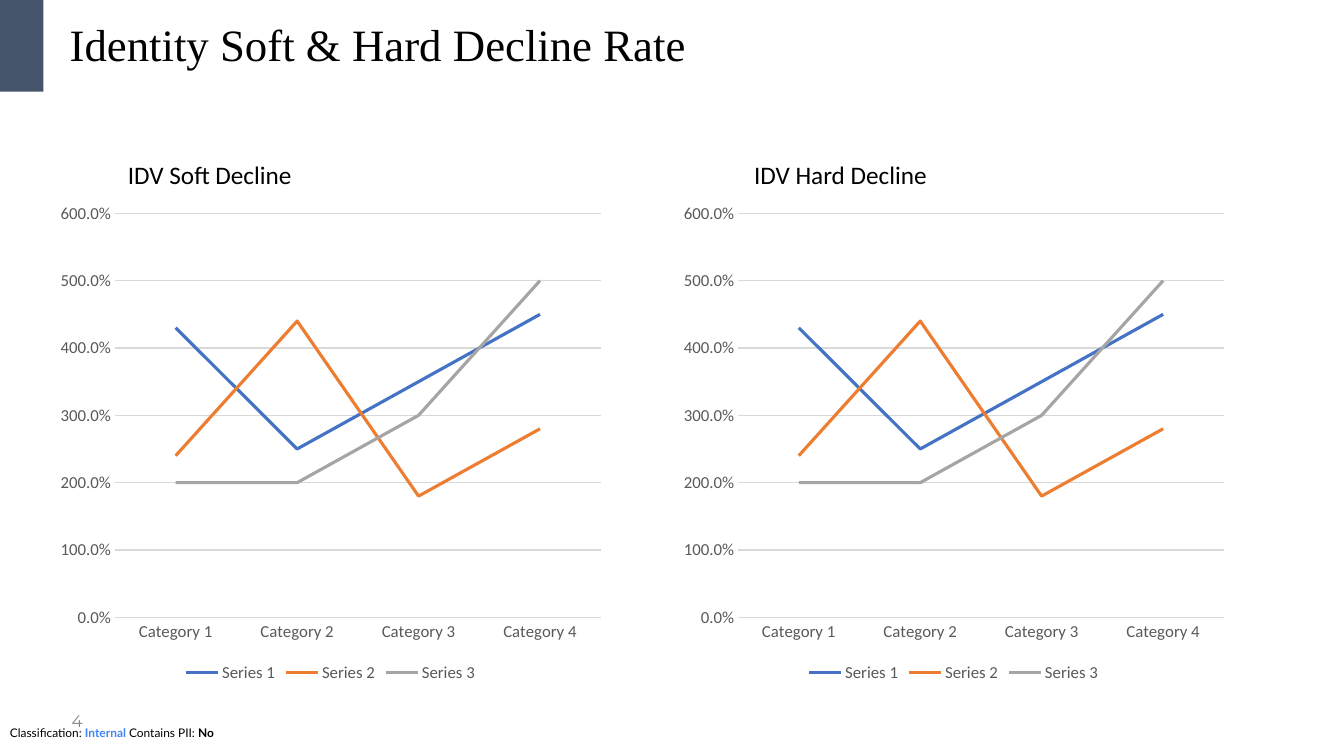
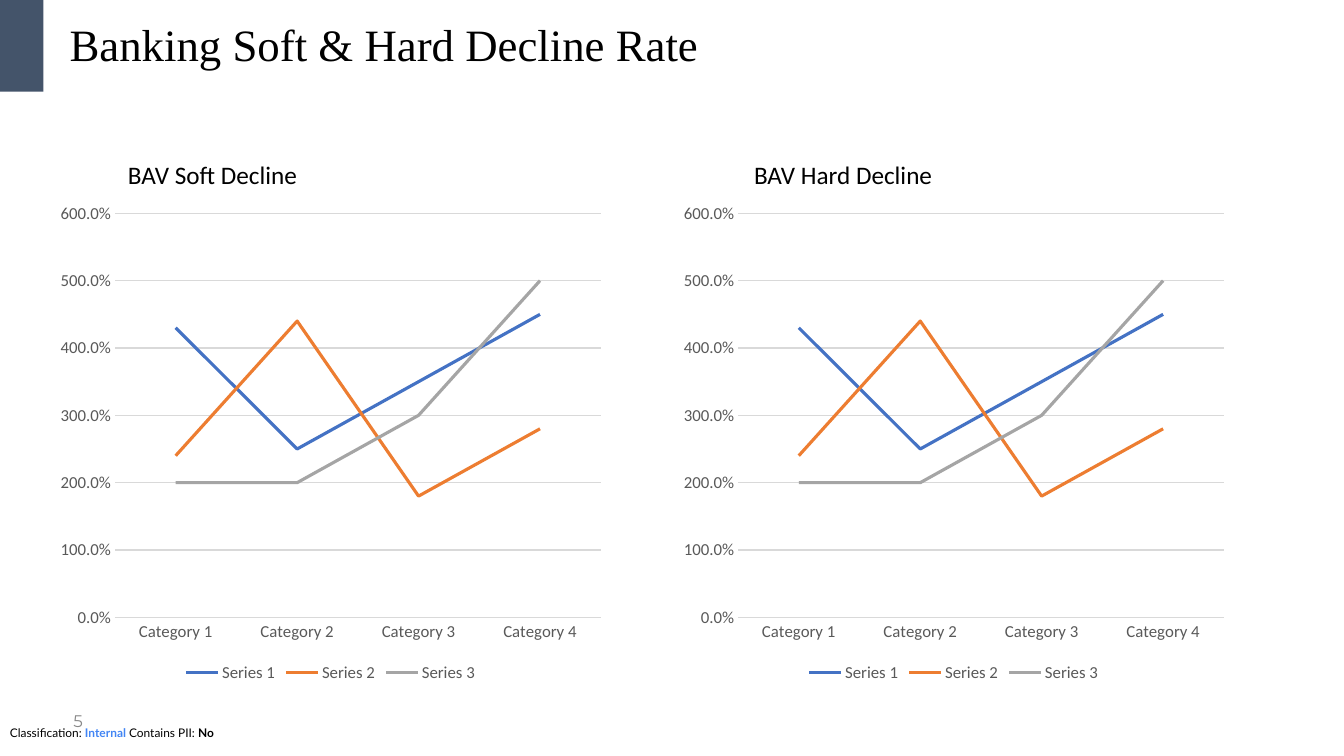
from dataclasses import dataclass

from pptx import Presentation
from pptx.chart.data import CategoryChartData
from pptx.dml.color import RGBColor
from pptx.enum.chart import XL_CHART_TYPE as ChartType
from pptx.enum.chart import XL_LEGEND_POSITION as LegendPosition
from pptx.enum.chart import XL_TICK_MARK as TickMark
from pptx.enum.shapes import MSO_SHAPE as Preset
from pptx.enum.text import MSO_ANCHOR as Anchor
from pptx.enum.text import MSO_AUTO_SIZE as AutoSize
from pptx.enum.text import PP_ALIGN as Align
from pptx.util import Inches, Pt

# Content
FIRST_PAGE_NUMBER = 4
PAGES = [
    ("Identity Soft & Hard Decline Rate", ["IDV Soft Decline", "IDV Hard Decline"]),
    ("Banking Soft & Hard Decline Rate", ["BAV Soft Decline", "BAV Hard Decline"]),
]
CATEGORIES = ["Category 1", "Category 2", "Category 3", "Category 4"]
SERIES = {
    "Series 1": (4.3, 2.5, 3.5, 4.5),
    "Series 2": (2.4, 4.4, 1.8, 2.8),
    "Series 3": (2, 2, 3, 5),
}


@dataclass(frozen=True)
class Theme:
    ink: str = "000000"
    band: str = "44546A"
    accent: str = "4285F4"
    page_number: str = "888888"
    axis_text: str = "595959"
    rule: str = "D9D9D9"
    lines: tuple = ("4472C4", "ED7D31", "A5A5A5")
    title_font: str = "Times New Roman"
    body_font: str = "Calibri"
    footer_font: str = "Lato"
    number_font: str = "Montserrat"
    title_size: float = 32
    heading_size: float = 18
    label_size: float = 12
    footer_size: float = 8.5
    rule_width: float = 0.75
    line_width: float = 2.25


THEME = Theme()
CLASSIFICATION = [
    ("Classification: ", THEME.ink, False),
    ("Internal", THEME.accent, True),
    (" Contains PII: ", THEME.ink, False),
    ("No", THEME.ink, True),
]

# Layout, in inches: left, top, width, height
SLIDE_WIDTH, SLIDE_HEIGHT = 13.33, 7.5
BAND = (0, 0, 0.43, 0.91)
TITLE = (0.59, 0.11, 11.57, 0.72)
FOOTER = (0, 7.15, SLIDE_WIDTH, 0.24)
PAGE_NUMBER = (0.49, 6.95, 0.43, 0.4)
CHART_LEFT, CHART_STEP = 0.49, 6.18
CHART_TOP, CHART_WIDTH, CHART_HEIGHT = 1.92, 5.58, 4.89
HEADING_LEFT, HEADING_STEP = 1.17, 6.21
HEADING_TOP, HEADING_WIDTH, HEADING_HEIGHT = 1.53, 3.81, 0.4


def color(value):
    return RGBColor.from_string(value)


def place(area):
    return [Inches(length) for length in area]


def style_font(font, face, size, ink, bold=False):
    font.name, font.size, font.bold = face, Pt(size), bold
    font.color.rgb = color(ink)


def write(box, runs, *, face, size, align=Align.LEFT, anchor=Anchor.TOP, spacing=None):
    """Fill a shape with one paragraph of (text, colour, bold) runs."""
    frame = box.text_frame
    frame.word_wrap = True
    frame.auto_size = AutoSize.NONE
    frame.vertical_anchor = anchor
    para = frame.paragraphs[0]
    para.alignment = align
    para.line_spacing = spacing
    for text, ink, bold in runs:
        span = para.add_run()
        span.text = text
        style_font(span.font, face, size, ink, bold)


def add_text(page, area, runs, **style):
    write(page.shapes.add_textbox(*place(area)), runs, **style)


def add_frame(page, title, number):
    """Footer, corner band, title and page number."""
    add_text(page, FOOTER, CLASSIFICATION, face=THEME.footer_font, size=THEME.footer_size)

    band = page.shapes.add_shape(Preset.RECTANGLE, *place(BAND))
    band.shadow.inherit = False
    band.fill.solid()
    band.fill.fore_color.rgb = color(THEME.band)
    band.line.fill.background()

    heading = page.shapes.title
    heading.left, heading.top, heading.width, heading.height = place(TITLE)
    write(heading, [(title, THEME.ink, False)], face=THEME.title_font,
          size=THEME.title_size, anchor=Anchor.MIDDLE, spacing=0.9)

    add_text(page, PAGE_NUMBER, [(str(number), THEME.page_number, False)],
             face=THEME.number_font, size=THEME.label_size,
             align=Align.RIGHT, anchor=Anchor.MIDDLE)


def style_rule(line):
    line.color.rgb = color(THEME.rule)
    line.width = Pt(THEME.rule_width)


def add_line_chart(page, area):
    data = CategoryChartData(number_format="General")
    data.categories = CATEGORIES
    for name, values in SERIES.items():
        data.add_series(name, values)
    chart = page.shapes.add_chart(ChartType.LINE, *place(area), data).chart
    chart.has_title = False
    style_font(chart.font, THEME.body_font, THEME.label_size, THEME.axis_text)

    # Legend
    chart.has_legend = True
    chart.legend.position = LegendPosition.BOTTOM
    chart.legend.include_in_layout = False

    # Axes
    for axis in (chart.category_axis, chart.value_axis):
        axis.major_tick_mark = axis.minor_tick_mark = TickMark.NONE
    style_rule(chart.category_axis.format.line)
    values_axis = chart.value_axis
    values_axis.minimum_scale, values_axis.maximum_scale = 0, 6
    values_axis.major_unit = 1
    values_axis.tick_labels.number_format = "0.0%"
    values_axis.tick_labels.number_format_is_linked = False
    values_axis.format.line.fill.background()
    style_rule(values_axis.major_gridlines.format.line)

    # Lines
    plot = chart.plots[0]
    plot.vary_by_categories = False
    for series, ink in zip(plot.series, THEME.lines):
        series.smooth = False
        series.format.line.color.rgb = color(ink)
        series.format.line.width = Pt(THEME.line_width)


def main():
    deck = Presentation()
    deck.slide_width, deck.slide_height = Inches(SLIDE_WIDTH), Inches(SLIDE_HEIGHT)
    title_only = deck.slide_layouts.get_by_name("Title Only")
    for number, (title, headings) in enumerate(PAGES, FIRST_PAGE_NUMBER):
        page = deck.slides.add_slide(title_only)
        add_frame(page, title, number)
        for column, heading in enumerate(headings):
            add_line_chart(page, (CHART_LEFT + column * CHART_STEP, CHART_TOP,
                                  CHART_WIDTH, CHART_HEIGHT))
            add_text(page, (HEADING_LEFT + column * HEADING_STEP, HEADING_TOP,
                            HEADING_WIDTH, HEADING_HEIGHT),
                     [(heading, THEME.ink, False)],
                     face=THEME.body_font, size=THEME.heading_size)
    deck.save("out.pptx")


if __name__ == "__main__":
    main()
